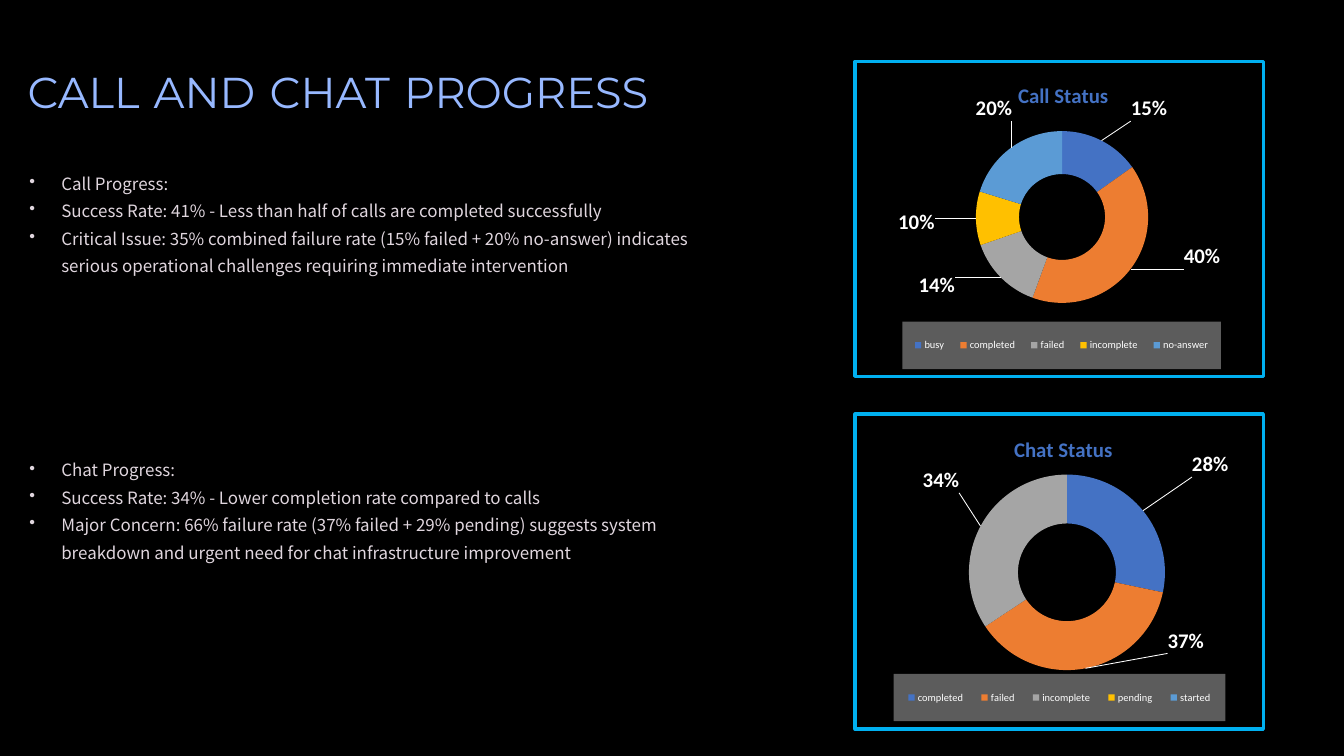
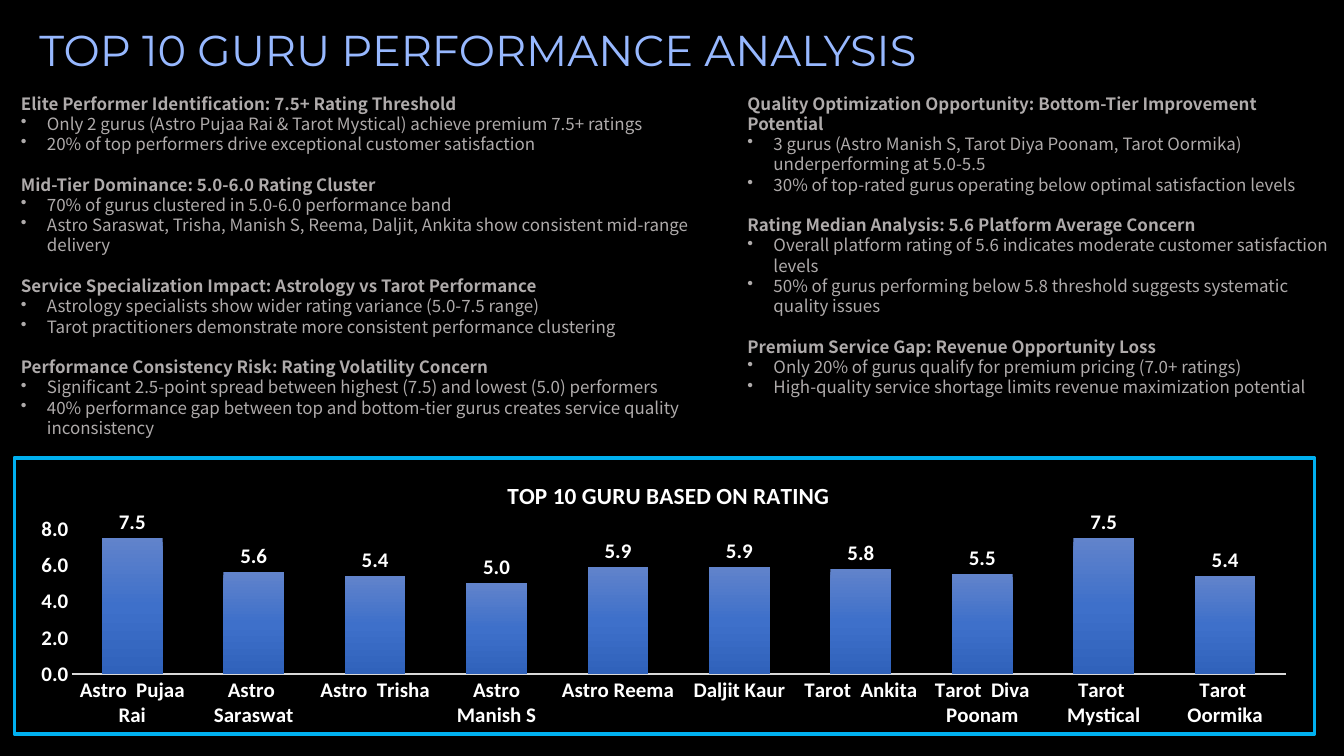
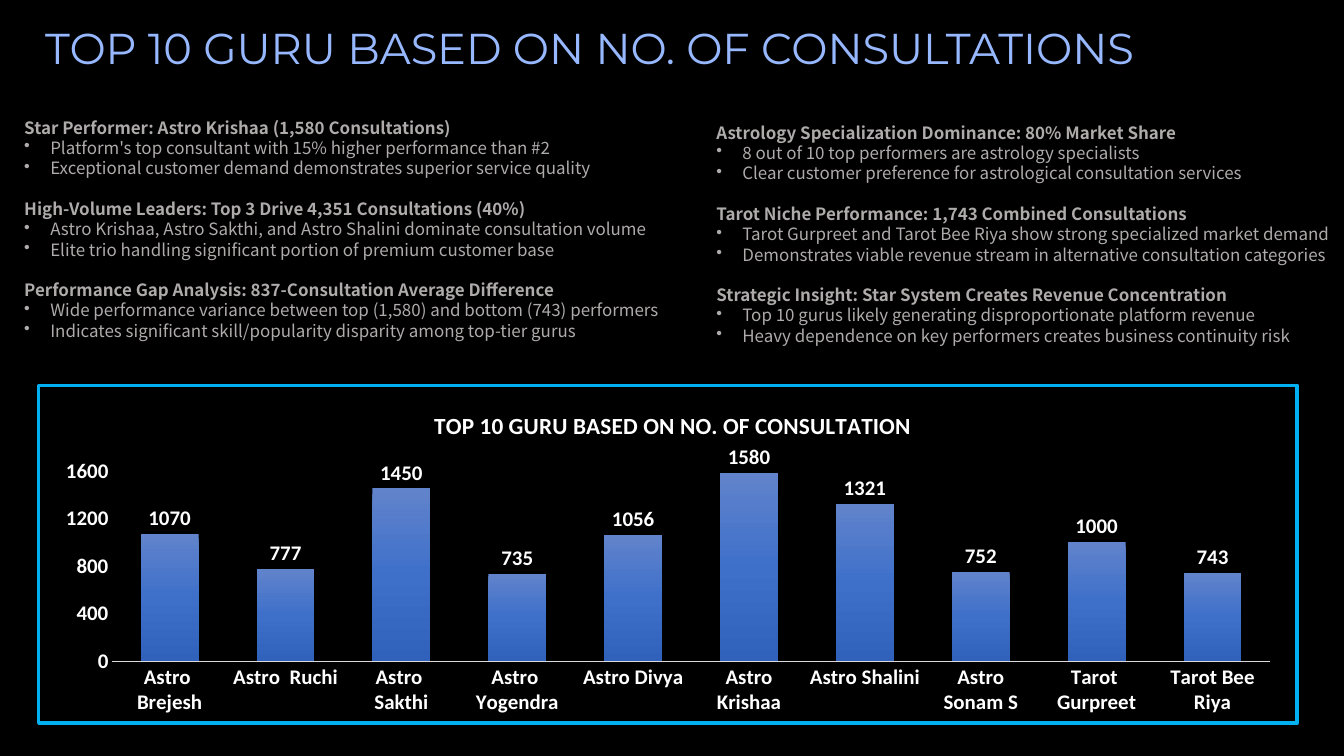
"""Build three dark slides on call, chat and guru performance."""
from copy import deepcopy
from math import cos, pi, sin

from pptx import Presentation
from pptx.chart.data import CategoryChartData
from pptx.dml.color import RGBColor
from pptx.enum.chart import XL_CHART_TYPE, XL_LABEL_POSITION, XL_LEGEND_POSITION, XL_TICK_MARK
from pptx.oxml import parse_xml
from pptx.oxml.ns import nsdecls, qn
from pptx.util import Inches, Pt

BLACK = RGBColor(0x00, 0x00, 0x00)
WHITE = RGBColor(0xFF, 0xFF, 0xFF)
TITLE_BLUE = RGBColor(0x97, 0xB8, 0xFF)
GAP_ORANGE = RGBColor(0xED, 0x7D, 0x31)
PALE = RGBColor(0xE0, 0xD6, 0xDE)
GRAY = RGBColor(0xAF, 0xAB, 0xAB)
AXIS_GRAY = RGBColor(0xD9, 0xD9, 0xD9)
CHART_BLUE = RGBColor(0x44, 0x72, 0xC4)
BORDER = RGBColor(0x00, 0xB0, 0xF0)
LEGEND_GRAY = RGBColor(0x5C, 0x5C, 0x5C)
SLICES = (CHART_BLUE, GAP_ORANGE, RGBColor(0xA5, 0xA5, 0xA5),
          RGBColor(0xFF, 0xC0, 0x00), RGBColor(0x5B, 0x9B, 0xD5))
BAR_STOPS = ((0, RGBColor(0x61, 0x83, 0xCB)), (50, RGBColor(0x3E, 0x70, 0xCA)),
             (100, RGBColor(0x30, 0x62, 0xBB)))
TITLE_FONT, BODY_FONT, CHART_FONT = "Montserrat", "Noto Sans CJK TC", "Calibri"

LOOSE = dict(color=PALE, pitch=23.5, indent=0.38, inset=(0, 0))
DENSE = dict(color=GRAY, pitch=17.4, indent=0.31, inset=(0.1, 0.05))

SLIDES = [
    {
        "title": ("CALL AND CHAT PROGRESS", (0.23, 0.49, 7.77, 1.92), True),
        "style": LOOSE,
        "texts": [
            ((0.35, 1.98, 8, 1.41), [(None, [
                "Call Progress:",
                "Success Rate: 41% - Less than half of calls are completed successfully",
                "Critical Issue: 35% combined failure rate (15% failed + 20% no-answer) indicates "
                "serious operational challenges requiring immediate intervention"])]),
            ((0.35, 5.39, 8, 1.41), [(None, [
                "Chat Progress:",
                "Success Rate: 34% - Lower completion rate compared to calls",
                "Major Concern: 66% failure rate (37% failed + 29% pending) suggests system "
                "breakdown and urgent need for chat infrastructure improvement"])]),
        ],
        "rings": [
            {"title": "Call Status", "title_at": (0.39, 0.05), "at": (10.16, 0.71, 4.9, 3.79),
             "plot": (0.296, 0.205, 0.422, 0.579), "legend": (0.116, 0.827, 0.78, 0.15),
             "points": [("busy", 15, (0.72, 0.15)), ("completed", 40, (0.85, 0.62)),
                        ("failed", 14, (0.2, 0.71)), ("incomplete", 10, (0.15, 0.51)),
                        ("no-answer", 20, (0.34, 0.15))]},
            {"title": "Chat Status", "title_at": (0.38, 0.055), "at": (10.16, 4.91, 4.9, 3.79),
             "plot": (0.262, 0.192, 0.514, 0.621), "legend": (0.094, 0.825, 0.813, 0.15),
             "points": [("completed", 28, (0.87, 0.16)), ("failed", 37, (0.81, 0.72)),
                        ("incomplete", 34, (0.21, 0.21)), ("pending", 0, (0.3, 0.11)),
                        ("started", 0, (0.7, 0.15))]},
        ],
    },
    {
        "title": ("TOP 10 GURU PERFORMANCE ANALYSIS", (0.37, 0.23, 11.29, 0.72), False),
        "style": DENSE,
        "texts": [
            ((0.15, 1.06, 8.65, 4.98), [
                ("Elite Performer Identification: 7.5+ Rating Threshold", [
                    "Only 2 gurus (Astro Pujaa Rai & Tarot Mystical) achieve premium 7.5+ ratings",
                    "20% of top performers drive exceptional customer satisfaction"]),
                ("Mid-Tier Dominance: 5.0-6.0 Rating Cluster", [
                    "70% of gurus clustered in 5.0-6.0 performance band",
                    "Astro Saraswat, Trisha, Manish S, Reema, Daljit, Ankita show consistent "
                    "mid-range delivery"]),
                ("Service Specialization Impact: Astrology vs Tarot Performance", [
                    "Astrology specialists show wider rating variance (5.0-7.5 range)",
                    "Tarot practitioners demonstrate more consistent performance clustering"]),
                ("Performance Consistency Risk: Rating Volatility Concern", [
                    "Significant 2.5-point spread between highest (7.5) and lowest (5.0) performers",
                    "40% performance gap between top and bottom-tier gurus creates service quality "
                    "inconsistency"])]),
            ((8.8, 1.06, 7.2, 3.52), [
                ("Quality Optimization Opportunity: Bottom-Tier Improvement Potential", [
                    "3 gurus (Astro Manish S, Tarot Diya Poonam, Tarot Oormika) underperforming "
                    "at 5.0-5.5",
                    "30% of top-rated gurus operating below optimal satisfaction levels"]),
                ("Rating Median Analysis: 5.6 Platform Average Concern", [
                    "Overall platform rating of 5.6 indicates moderate customer satisfaction levels",
                    "50% of gurus performing below 5.8 threshold suggests systematic quality issues"]),
                ("Premium Service Gap: Revenue Opportunity Loss", [
                    "Only 20% of gurus qualify for premium pricing (7.0+ ratings)",
                    "High-quality service shortage limits revenue maximization potential"])]),
        ],
        "bars": [
            {"title": "TOP 10 GURU BASED ON RATING", "title_at": (0.376, 0.064),
             "at": (0.15, 5.43, 15.52, 3.33), "plot": (0.044, 0.257, 0.934, 0.526),
             "top": 8, "step": 2, "format": "0.0",
             "points": [("Astro  Pujaa Rai", 7.5), ("Astro  Saraswat", 5.6), ("Astro  Trisha", 5.4),
                        ("Astro Manish S", 5.0), ("Astro Reema", 5.9), ("Daljit Kaur", 5.9),
                        ("Tarot  Ankita", 5.8), ("Tarot  Diva Poonam", 5.5),
                        ("Tarot  Mystical", 7.5), ("Tarot  Oormika", 5.4)]},
        ],
    },
    {
        "title": ("TOP 10 GURU BASED ON NO. OF CONSULTATIONS", (0.44, 0.21, 13.67, 0.72), False),
        "style": DENSE,
        "texts": [
            ((0.19, 1.35, 7.89, 3.09), [
                ("Star Performer: Astro Krishaa (1,580 Consultations)", [
                    "Platform's top consultant with 15% higher performance than #2",
                    "Exceptional customer demand demonstrates superior service quality"]),
                ("High-Volume Leaders: Top 3 Drive 4,351 Consultations (40%)", [
                    "Astro Krishaa, Astro Sakthi, and Astro Shalini dominate consultation volume",
                    "Elite trio handling significant portion of premium customer base"]),
                ("Performance Gap Analysis: 837-Consultation Average Difference", [
                    "Wide performance variance between top (1,580) and bottom (743) performers",
                    "Indicates significant skill/popularity disparity among top-tier gurus"])]),
            ((8.43, 1.41, 7.66, 3.03), [
                ("Astrology Specialization Dominance: 80% Market Share", [
                    "8 out of 10 top performers are astrology specialists",
                    "Clear customer preference for astrological consultation services"]),
                ("Tarot Niche Performance: 1,743 Combined Consultations", [
                    "Tarot Gurpreet and Tarot Bee Riya show strong specialized market demand",
                    "Demonstrates viable revenue stream in alternative consultation categories"]),
                ("Strategic Insight: Star System Creates Revenue Concentration", [
                    "Top 10 gurus likely generating disproportionate platform revenue",
                    "Heavy dependence on key performers creates business continuity risk"])]),
        ],
        "bars": [
            {"title": "TOP 10 GURU BASED ON NO. OF CONSULTATION", "title_at": (0.311, 0.056),
             "at": (0.44, 4.57, 15.02, 4.06), "plot": (0.058, 0.252, 0.921, 0.565),
             "top": 1600, "step": 400, "format": "0",
             "points": [("Astro  Brejesh", 1070), ("Astro  Ruchi", 777), ("Astro  Sakthi", 1450),
                        ("Astro  Yogendra", 735), ("Astro Divya", 1056), ("Astro Krishaa", 1580),
                        ("Astro Shalini", 1321), ("Astro Sonam S", 752),
                        ("Tarot  Gurpreet", 1000), ("Tarot Bee Riya", 743)]},
        ],
    },
]


def style_font(font, name, size, color, bold=False):
    font.name, font.size, font.bold = name, Pt(size), bold
    font.color.rgb = color


def add_box(page, at, inset=(0.1, 0.05)):
    frame = page.shapes.add_textbox(*map(Inches, at)).text_frame
    frame.word_wrap = True
    frame.margin_left = frame.margin_right = Inches(inset[0])
    frame.margin_top = frame.margin_bottom = Inches(inset[1])
    return frame


def add_title(page, text, at, wide_gaps):
    para = add_box(page, at).paragraphs[0]
    if not wide_gaps:
        para.text = text
        style_font(para.runs[0].font, TITLE_FONT, 37, TITLE_BLUE)
        return
    for number, word in enumerate(text.split()):
        if number:
            span = para.add_run()
            span.text = " "
            style_font(span.font, CHART_FONT, 54, GAP_ORANGE, True)
        span = para.add_run()
        span.text = word
        style_font(span.font, TITLE_FONT, 37, TITLE_BLUE)


def add_sections(page, at, sections, color, pitch, indent, inset):
    frame = add_box(page, at, inset)
    lines = []
    for heading, bullets in sections:
        if heading:
            lines.append((heading, True))
        lines += [(bullet, False) for bullet in bullets]
    for number, (text, is_heading) in enumerate(lines):
        para = frame.add_paragraph() if number else frame.paragraphs[0]
        para.text = text
        if not is_heading:
            properties = para._p.get_or_add_pPr()
            properties.set("marL", str(Inches(indent)))
            properties.set("indent", str(-Inches(indent)))
            properties.append(parse_xml(f'<a:buChar {nsdecls("a")} char="•"/>'))
        elif number:
            para.space_before = Pt(pitch)
        para.line_spacing = Pt(pitch)
        style_font(para.runs[0].font, BODY_FONT, 14.5, color, is_heading)


def layout_xml(place, inner=False, offset=False):
    target = '<c:layoutTarget val="inner"/>' if inner else ""
    modes = "" if offset else '<c:xMode val="edge"/><c:yMode val="edge"/>'
    sizes = "".join(f'<c:{key} val="{value:.4f}"/>' for key, value in zip("xywh", place))
    return f'<c:layout {nsdecls("c")}><c:manualLayout>{target}{modes}{sizes}</c:manualLayout></c:layout>'


def set_layout(parent, place, after=None, inner=False):
    for old in parent.findall(qn("c:layout")):
        parent.remove(old)
    layout = parse_xml(layout_xml(place, inner))
    if after is None:
        parent.insert(0, layout)
    else:
        parent.find(qn(after)).addnext(layout)


def solid(color):
    return f'<a:solidFill><a:srgbClr val="{color}"/></a:solidFill>'


def chart_properties(content):
    return parse_xml(f'<c:spPr {nsdecls("c", "a")}>{content}</c:spPr>')


def add_framed_chart(page, kind, facts, title_size, title_color):
    data = CategoryChartData()
    data.categories = [point[0] for point in facts["points"]]
    data.add_series("Series 1", [point[1] for point in facts["points"]])
    chart = page.shapes.add_chart(kind, *map(Inches, facts["at"]), data).chart
    style_font(chart.font, CHART_FONT, 10, BLACK)
    chart.has_title = True
    para = chart.chart_title.text_frame.paragraphs[0]
    para.text = facts["title"]
    style_font(para.runs[0].font, CHART_FONT, title_size, title_color, True)
    chart_part = chart._chartSpace.find(qn("c:chart"))
    set_layout(chart_part.find(qn("c:title")), facts["title_at"], "c:tx")
    set_layout(chart_part.find(qn("c:plotArea")), facts["plot"], inner=True)
    chart_part.addnext(chart_properties(f'<a:noFill/><a:ln w="{Pt(3)}">{solid(BORDER)}</a:ln>'))
    return chart


def show_labels(series, number_format):
    labels = series.data_labels
    style_font(labels.font, CHART_FONT, 18, WHITE, True)
    labels.number_format = number_format
    labels.number_format_is_linked = False
    return labels


def place_ring_labels(labels, facts):
    group = labels._element
    for tag in ("c:showLeaderLines", "c:leaderLines"):
        for old in group.findall(qn(tag)):
            group.remove(old)
    shared = list(group)
    left, top, width, height = facts["plot"]
    chart_width, chart_height = facts["at"][2:]
    middle_radius = 0.75 * min(width * chart_width, height * chart_height) / 2
    total = sum(point[1] for point in facts["points"])
    passed = 0
    for number, (_, value, (label_x, label_y)) in enumerate(facts["points"]):
        angle = 2 * pi * (passed + value / 2) / total
        passed += value
        ring_x = left + width / 2 + middle_radius * sin(angle) / chart_width
        ring_y = top + height / 2 - middle_radius * cos(angle) / chart_height
        shift = layout_xml((label_x - ring_x, label_y - ring_y), offset=True)
        label = parse_xml(f'<c:dLbl {nsdecls("c")}><c:idx val="{number}"/>{shift}</c:dLbl>')
        for part in shared:
            label.append(deepcopy(part))
        group.insert(number, label)
    group.append(parse_xml(f'<c:showLeaderLines {nsdecls("c")} val="1"/>'))
    leader = parse_xml(f'<c:leaderLines {nsdecls("c")}/>')
    leader.append(chart_properties(f'<a:ln w="{Pt(0.75)}">{solid(WHITE)}</a:ln>'))
    group.append(leader)


def add_ring(page, facts):
    chart = add_framed_chart(page, XL_CHART_TYPE.DOUGHNUT, facts, 18, CHART_BLUE)
    plot = chart.plots[0]
    plot.vary_by_categories = True
    series = plot.series[0]
    for number, color in enumerate(SLICES):
        fill = series.points[number].format.fill
        fill.solid()
        fill.fore_color.rgb = color
    labels = show_labels(series, "0%")
    labels.show_value = False
    labels.show_percentage = True
    place_ring_labels(labels, facts)
    chart.has_legend = True
    legend = chart.legend
    legend.position = XL_LEGEND_POSITION.BOTTOM
    legend.include_in_layout = False
    style_font(legend.font, CHART_FONT, 9, WHITE)
    set_layout(legend._element, facts["legend"], "c:legendPos")
    legend._element.find(qn("c:overlay")).addnext(chart_properties(solid(LEGEND_GRAY)))


def add_bars(page, facts):
    chart = add_framed_chart(page, XL_CHART_TYPE.COLUMN_CLUSTERED, facts, 20, WHITE)
    chart.has_legend = False
    plot = chart.plots[0]
    plot.vary_by_categories = False
    plot.gap_width, plot.overlap = 100, -24
    series = plot.series[0]
    stops = "".join(f'<a:gs pos="{share * 1000}"><a:srgbClr val="{color}"/></a:gs>'
                    for share, color in BAR_STOPS)
    properties = series._element.get_or_add_spPr()
    properties.append(parse_xml(f'<a:gradFill {nsdecls("a")}><a:gsLst>{stops}</a:gsLst>'
                                '<a:lin ang="5400000" scaled="0"/></a:gradFill>'))
    labels = show_labels(series, facts["format"])
    labels.show_value = True
    labels.position = XL_LABEL_POSITION.OUTSIDE_END
    for axis in (chart.category_axis, chart.value_axis):
        axis.major_tick_mark = axis.minor_tick_mark = XL_TICK_MARK.NONE
        axis.has_major_gridlines = False
        style_font(axis.tick_labels.font, CHART_FONT, 18, WHITE, True)
    chart.category_axis.format.line.color.rgb = AXIS_GRAY
    chart.category_axis.format.line.width = Pt(1)
    scale = chart.value_axis
    scale.format.line.fill.background()
    scale.minimum_scale, scale.maximum_scale, scale.major_unit = 0, facts["top"], facts["step"]
    scale.tick_labels.number_format = facts["format"]
    scale.tick_labels.number_format_is_linked = False


def main():
    deck = Presentation()
    deck.slide_width, deck.slide_height = Inches(16), Inches(9)
    backdrop = deck.slide_master.background.fill
    backdrop.solid()
    backdrop.fore_color.rgb = BLACK
    for content in SLIDES:
        page = deck.slides.add_slide(deck.slide_layouts[6])
        add_title(page, *content["title"])
        for at, sections in content["texts"]:
            add_sections(page, at, sections, **content["style"])
        for facts in content.get("rings", []):
            add_ring(page, facts)
        for facts in content.get("bars", []):
            add_bars(page, facts)
    deck.save("out.pptx")


if __name__ == "__main__":
    main()
